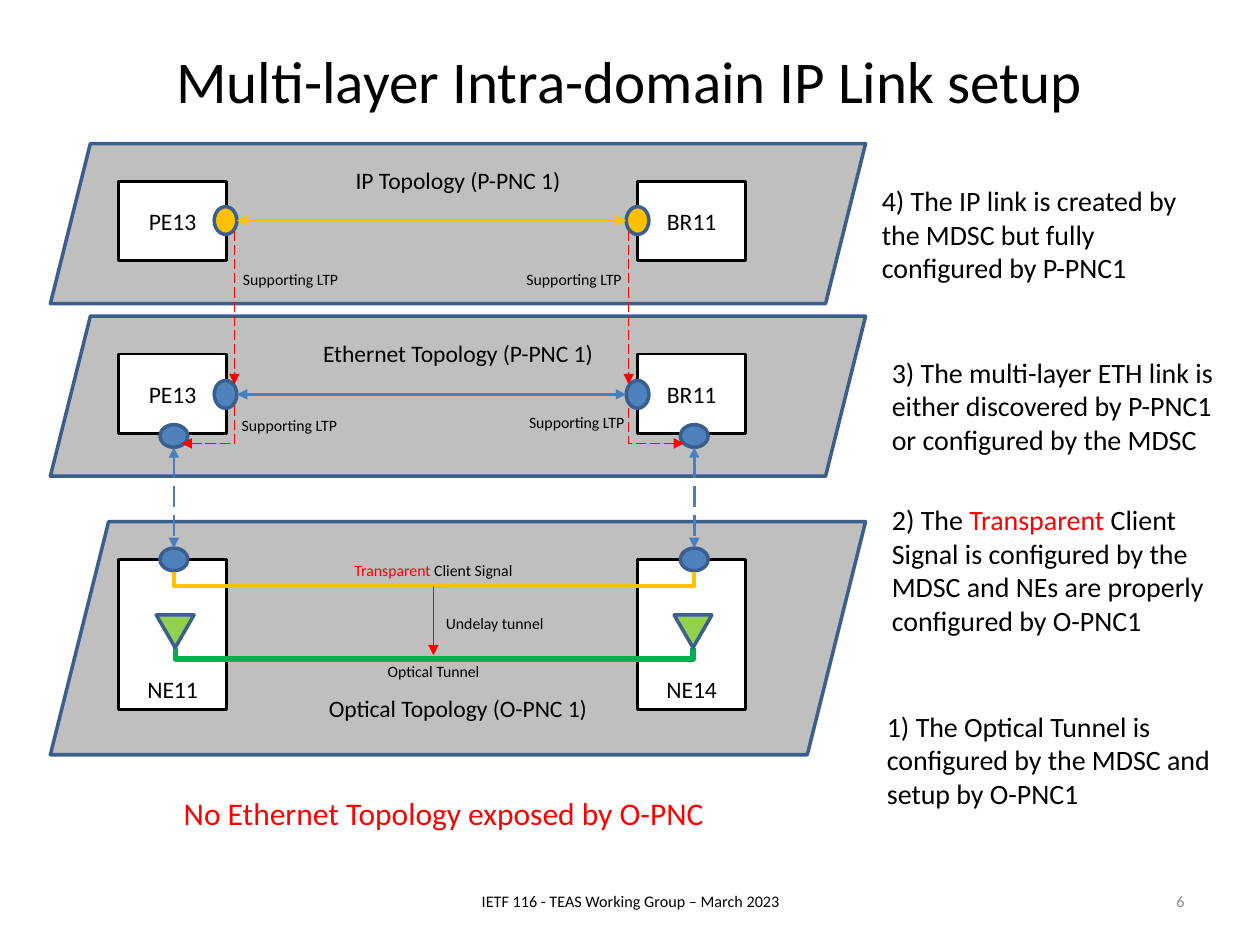
from dataclasses import dataclass

from lxml.etree import SubElement
from pptx import Presentation
from pptx.dml.color import RGBColor
from pptx.enum.dml import MSO_LINE
from pptx.enum.shapes import MSO_CONNECTOR, MSO_SHAPE
from pptx.enum.text import MSO_ANCHOR, MSO_AUTO_SIZE, PP_ALIGN
from pptx.oxml.ns import qn
from pptx.util import Inches, Pt

BLACK, WHITE, RED, GREY = "000000", "FFFFFF", "FF0000", "BFBFBF"
BLUE, EDGE, LINK, GOLD = "4F81BD", "3A5F8C", "4B7EBC", "FFC000"
GREEN, LIME, MUTED = "00B050", "92D050", "8C8C8C"
NODE_X = (0.94, 5.06)
NODE_W = 0.86
PORT_X = (1.7, 4.97)
PORT_W, PORT_H = 0.18, 0.22
LTP_X = (1.86, 4.99)
CLIENT_X = (1.38, 5.51)


@dataclass
class Layer:
    title: str
    top: float
    height: float
    nodes: tuple[str, str]
    node_h: float
    anchor: MSO_ANCHOR
    node_anchor: MSO_ANCHOR


@dataclass
class Label:
    runs: tuple[tuple[str, str], ...]
    left: float
    top: float
    width: float
    height: float
    size: float
    align: PP_ALIGN = PP_ALIGN.LEFT
    anchor: MSO_ANCHOR = MSO_ANCHOR.TOP
    wrap: bool = True


def rgb(value: str) -> RGBColor:
    return RGBColor.from_string(value)


def write(tf, runs, size: float, align: PP_ALIGN, anchor: MSO_ANCHOR, wrap: bool) -> None:
    tf.word_wrap, tf.vertical_anchor = wrap, anchor
    p = tf.paragraphs[0]
    p.alignment = align
    p.font.name, p.font.size = "Calibri", Pt(size)
    for text, color in runs:
        r = p.add_run()
        r.text = text
        r.font.color.rgb = rgb(color)


def add_box(kind: MSO_SHAPE, left: float, top: float, width: float, height: float,
            fill: str, line: str = EDGE, weight: float = 2):
    sp = s.shapes.add_shape(kind, Inches(left), Inches(top), Inches(width), Inches(height))
    sp.shadow.inherit = False
    sp.fill.solid()
    sp.fill.fore_color.rgb = rgb(fill)
    sp.line.color.rgb = rgb(line)
    sp.line.width = Pt(weight)
    return sp


def add_label(label: Label) -> None:
    sp = s.shapes.add_textbox(*map(Inches, (label.left, label.top, label.width, label.height)))
    write(sp.text_frame, label.runs, label.size, label.align, label.anchor, label.wrap)


def add_arrow(start: tuple[float, float], end: tuple[float, float], color: str, weight: float,
              ends: tuple[str, ...] = ("tailEnd",), dashed: bool = False, bent: bool = False) -> None:
    kind = MSO_CONNECTOR.ELBOW if bent else MSO_CONNECTOR.STRAIGHT
    line = s.shapes.add_connector(kind, *map(Inches, start + end))
    line.line.color.rgb = rgb(color)
    line.line.width = Pt(weight)
    if dashed:
        line.line.dash_style = MSO_LINE.LONG_DASH
    props = line._element.spPr
    if bent:
        props.find(qn("a:prstGeom")).set("prst", "bentConnector2")
    for name in ends:
        SubElement(props.find(qn("a:ln")), qn(f"a:{name}"), type="triangle")
    SubElement(props, qn("a:effectLst"))


def add_path(points: list[tuple[float, float]], color: str, weight: float) -> None:
    first, *rest = [(Inches(x), Inches(y)) for x, y in points]
    builder = s.shapes.build_freeform(*first)
    builder.add_line_segments(rest, close=False)
    sp = builder.convert_to_shape()
    sp.shadow.inherit = False
    sp.fill.background()
    sp.line.color.rgb = rgb(color)
    sp.line.width = Pt(weight)


def add_layer(layer: Layer) -> None:
    panel = add_box(MSO_SHAPE.PARALLELOGRAM, 0.4, layer.top, 6.47, layer.height, GREY)
    write(panel.text_frame, [(layer.title, BLACK)], 13.5, PP_ALIGN.CENTER, layer.anchor, True)
    for name, x in zip(layer.nodes, NODE_X):
        node = add_box(MSO_SHAPE.RECTANGLE, x, layer.top + 0.3, NODE_W, layer.node_h, WHITE, BLACK, 1.5)
        write(node.text_frame, [(name, BLACK)], 13.5, PP_ALIGN.CENTER, layer.node_anchor, False)


def add_link(top: float, port_color: str, link_color: str) -> None:
    for x in PORT_X:
        add_box(MSO_SHAPE.OVAL, x, top, PORT_W, PORT_H, port_color)
    y = top + PORT_H / 2
    add_arrow((PORT_X[0] + PORT_W, y), (PORT_X[1], y), link_color, 1.5, ("headEnd", "tailEnd"))


prs = Presentation()
prs.slide_width, prs.slide_height = Inches(10), Inches(7.5)
s = prs.slides.add_slide(prs.slide_layouts[5])
title = s.shapes.title
title.left, title.top, title.width, title.height = map(Inches, (0.5, 0.3, 9, 1.25))
write(title.text_frame, [("Multi-layer Intra-domain IP Link setup", BLACK)], 33.8,
      PP_ALIGN.CENTER, MSO_ANCHOR.TOP, True)
title.text_frame.auto_size = MSO_AUTO_SIZE.NONE

ROUTERS = ("PE13", "BR11")
TOP, MIDDLE, BOTTOM = MSO_ANCHOR.TOP, MSO_ANCHOR.MIDDLE, MSO_ANCHOR.BOTTOM
for layer in (
    Layer("Optical Topology (O-PNC 1)", 4.14, 1.85, ("NE11", "NE14"), 1.19, BOTTOM, BOTTOM),
    Layer("Ethernet Topology (P-PNC 1)", 2.51, 1.27, ROUTERS, 0.63, TOP, MIDDLE),
    Layer("IP Topology (P-PNC 1)", 1.14, 1.27, ROUTERS, 0.63, TOP, MIDDLE),
):
    add_layer(layer)

add_link(3.02, BLUE, LINK)
add_link(1.64, GOLD, GOLD)

for x, ltp_x, arrow_x in zip(CLIENT_X, LTP_X, (1.44, 5.43)):
    for y in (3.37, 4.35):
        add_box(MSO_SHAPE.OVAL, x - PORT_H / 2, y, PORT_H, PORT_W, BLUE)
    add_arrow((x, 3.55), (x, 4.35), LINK, 1.5, ("headEnd", "tailEnd"), dashed=True)
    add_arrow((ltp_x, 1.83), (ltp_x, 3.05), RED, 0.75, dashed=True)
    add_arrow((arrow_x, 3.52), (ltp_x, 3.21), RED, 0.75, ("headEnd",), dashed=True, bent=True)

for left, right, top, bottom, color, weight in (
    (*CLIENT_X, 4.54, 4.65, GOLD, 2),
    (1.39, 5.5, 5.14, 5.23, GREEN, 3),
):
    add_path([(left, top), (left, bottom), (right, bottom), (right, top)], color, weight)
for x in (1.24, 5.35):
    add_box(MSO_SHAPE.ISOSCELES_TRIANGLE, x, 4.88, 0.3, 0.26, LIME).rotation = 180
add_arrow((3.44, 4.65), (3.44, 5.2), RED, 0.75)

for x, y in ((1.83, 2.09), (4.08, 2.09), (1.82, 3.25), (4.1, 3.23)):
    add_label(Label((("Supporting LTP", BLACK),), x, y, 0.98, 0.25, 9, wrap=False))

CENTER, RIGHT = PP_ALIGN.CENTER, PP_ALIGN.RIGHT
for label in (
    Label((("Transparent", RED), (" Client Signal", BLACK)), 1.82, 4.4, 3.24, 0.25, 9, CENTER),
    Label((("Optical Tunnel", BLACK),), 1.8, 5.2, 3.28, 0.25, 9, CENTER),
    Label((("Undelay tunnel", BLACK),), 3.44, 4.82, 0.99, 0.25, 9, wrap=False),
    Label((("4) The IP link is created by the MDSC but fully configured by P-PNC1", BLACK),),
          6.9, 1.41, 2.81, 0.91, 16),
    Label((("3) The multi-layer ETH link is either discovered by P-PNC1 or configured by the MDSC", BLACK),),
          6.98, 2.77, 2.84, 0.91, 16),
    Label((("2) The ", BLACK), ("Transparent", RED),
           (" Client Signal is configured by the MDSC and NEs are properly configured by O-PNC1", BLACK)),
          6.98, 3.94, 2.81, 1.18, 16),
    Label((("1) The Optical Tunnel is configured by the MDSC and setup by O-PNC1", BLACK),),
          6.94, 5.58, 2.81, 0.91, 16),
    Label((("No Ethernet Topology exposed by O-PNC", RED),), 1.36, 6.25, 4.38, 0.4, 18, wrap=False),
    Label((("IETF 116 - TEAS Working Group – March 2023", BLACK),), 3.42, 6.95, 3.17, 0.4, 9.2, CENTER, MIDDLE),
    Label((("6", MUTED),), 7.17, 6.95, 2.33, 0.4, 9.2, RIGHT, MIDDLE),
):
    add_label(label)

prs.save("out.pptx")
